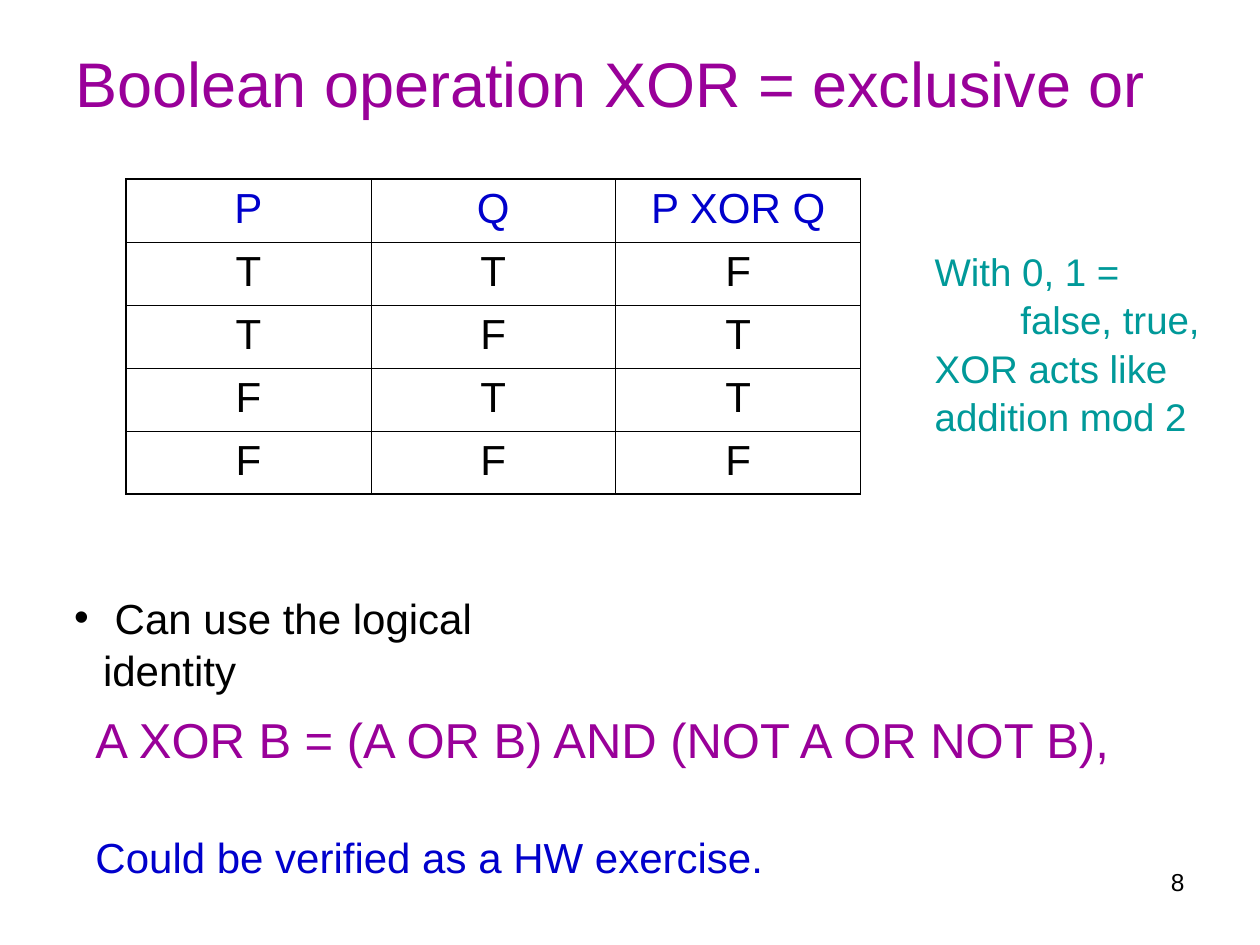
from lxml.etree import SubElement
from pptx import Presentation
from pptx.dml.color import RGBColor
from pptx.enum.text import MSO_ANCHOR, MSO_AUTO_SIZE, PP_ALIGN
from pptx.oxml.ns import qn
from pptx.util import Inches, Pt

FONT = "Arial"
PURPLE, BLUE, TEAL, BLACK = "990099", "0000CC", "009999", "000000"
THIN, THICK = 0.45, 1.08

TITLE = "Boolean operation XOR = exclusive or"
TRUTH_TABLE = [
    ("P", "Q", "P XOR Q"),
    ("T", "T", "F"),
    ("T", "F", "T"),
    ("F", "T", "T"),
    ("F", "F", "F"),
]
# Each line: text, size, colour
MOD_2_NOTE = [(line, 22, TEAL) for line in
              ("With 0, 1 =", "false, true,", "XOR acts like", "addition mod 2")]
HINT = [(" Can use the logical identity", 24, BLACK)]
IDENTITY = [
    ("A XOR B = (A OR B) AND (NOT A OR NOT B),", 28, PURPLE),
    ("Could be verified as a HW exercise.", 24, BLUE),
]
SLIDE_NUMBER = [("8", 14, BLACK)]

# Left, top, width, height in inches
TITLE_BOX = (0.5, 0.3, 9, 0.7)
TABLE_BOX = (1, 1.42, 5.83, 2.5)
NOTE_BOX = (7.32, 1.9, 2.5, 1.57)
HINT_BOX = (0.49, 4.63, 4.3, 0.9)
IDENTITY_BOX = (0.66, 5.58, 8.6, 1.44)
NUMBER_BOX = (7.17, 6.83, 2.33, 0.52)


def inches(box):
    return [Inches(length) for length in box]


def style(paragraph, size, color, align=PP_ALIGN.LEFT):
    paragraph.alignment = align
    font = paragraph.font
    font.name, font.size = FONT, Pt(size)
    font.color.rgb = RGBColor.from_string(color)


def add_text(slide, box, lines, align=PP_ALIGN.LEFT, spacing=None):
    """Add a text box with one paragraph per line and return its paragraphs."""
    frame = slide.shapes.add_textbox(*inches(box)).text_frame
    frame.word_wrap = True
    frame.text = "\n".join(text for text, _, _ in lines)
    for paragraph, (_, size, color) in zip(frame.paragraphs, lines):
        style(paragraph, size, color, align)
        paragraph.line_spacing = spacing
    return frame.paragraphs


def indent(paragraph, margin, first_line=0):
    properties = paragraph._p.get_or_add_pPr()
    properties.set("marL", str(Inches(margin)))
    properties.set("indent", str(Inches(first_line)))
    return properties


def add_bullet(paragraph, hang):
    properties = indent(paragraph, hang, -hang)
    SubElement(properties, qn("a:buFont"), typeface=FONT)
    SubElement(properties, qn("a:buChar"), char="•")


def set_borders(cell, widths):
    """Draw borders; widths are in points for left, right, top and bottom."""
    properties = cell._tc.get_or_add_tcPr()
    for side, width in zip("LRTB", widths):
        line = SubElement(properties, qn(f"a:ln{side}"), w=str(Pt(width)))
        fill = SubElement(line, qn("a:solidFill"))
        SubElement(fill, qn("a:srgbClr"), val=BLACK)


def add_title(slide):
    title = slide.shapes.title
    title.left, title.top, title.width, title.height = inches(TITLE_BOX)
    frame = title.text_frame
    frame.text = TITLE
    frame.auto_size = MSO_AUTO_SIZE.NONE
    frame.vertical_anchor = MSO_ANCHOR.TOP
    style(frame.paragraphs[0], 36, PURPLE)


def add_truth_table(slide):
    rows, cols = len(TRUTH_TABLE), len(TRUTH_TABLE[0])
    table = slide.shapes.add_table(rows, cols, *inches(TABLE_BOX)).table
    table.first_row = table.horz_banding = False
    for r, values in enumerate(TRUTH_TABLE):
        for c, value in enumerate(values):
            cell = table.cell(r, c)
            cell.text = value
            paragraph = cell.text_frame.paragraphs[0]
            style(paragraph, 24, BLACK if r else BLUE, PP_ALIGN.CENTER)
            paragraph.space_before = Pt(6)
            on_edge = (c == 0, c == cols - 1, r == 0, r == rows - 1)
            set_borders(cell, [THICK if outer else THIN for outer in on_edge])
            cell.fill.background()


def main():
    prs = Presentation()
    prs.slide_width, prs.slide_height = Inches(10), Inches(7.5)
    slide = prs.slides.add_slide(prs.slide_layouts[5])

    add_title(slide)
    add_truth_table(slide)
    note = add_text(slide, NOTE_BOX, MOD_2_NOTE, spacing=1.05)
    indent(note[1], 0.68)
    hint = add_text(slide, HINT_BOX, HINT, spacing=1.05)
    add_bullet(hint[0], 0.23)
    identity = add_text(slide, IDENTITY_BOX, IDENTITY)
    identity[1].space_before = Pt(36)
    add_text(slide, NUMBER_BOX, SLIDE_NUMBER, PP_ALIGN.RIGHT)

    prs.save("out.pptx")


if __name__ == "__main__":
    main()
